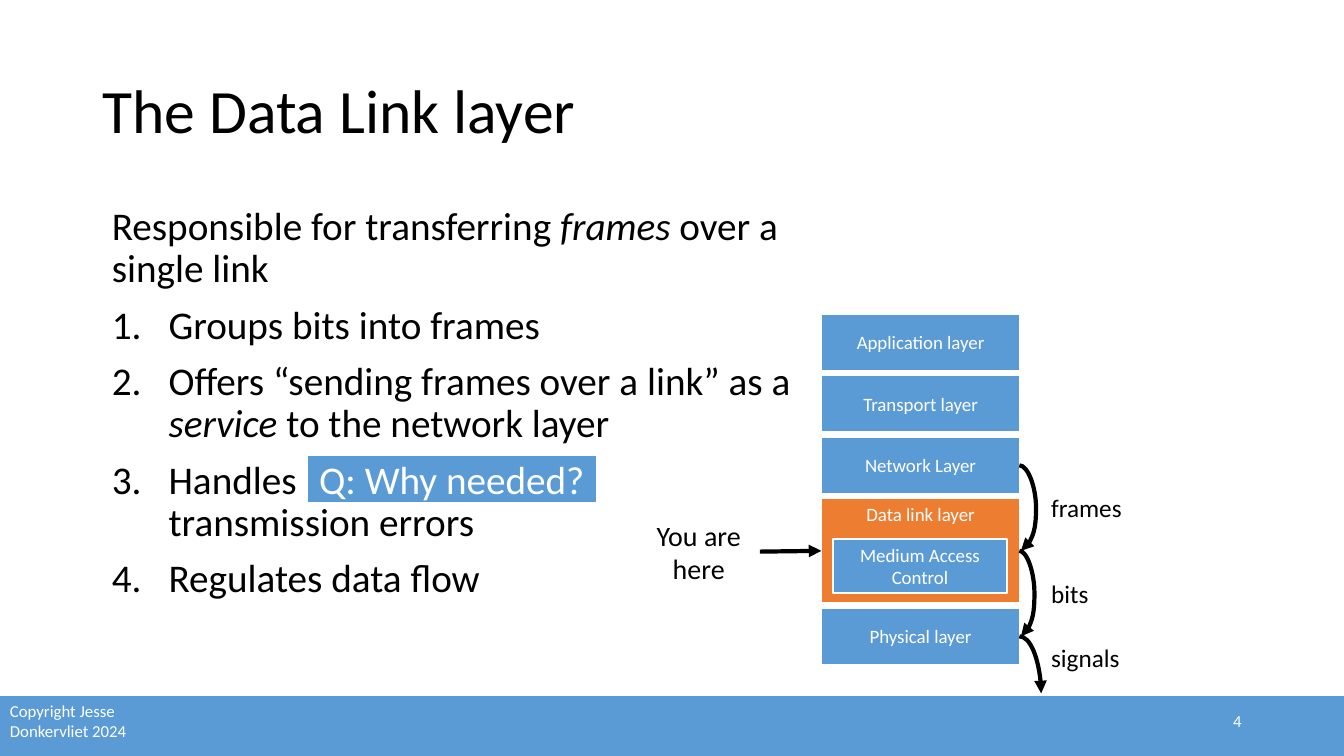
"""Build a slide on the role of the data link layer."""
from lxml import etree
from pptx import Presentation
from pptx.dml.color import RGBColor
from pptx.enum.shapes import MSO_CONNECTOR, MSO_SHAPE
from pptx.enum.text import MSO_ANCHOR, PP_ALIGN
from pptx.oxml.ns import qn
from pptx.util import Cm, Pt

RECTANGLE = MSO_SHAPE.RECTANGLE
STRAIGHT, CURVE = MSO_CONNECTOR.STRAIGHT, MSO_CONNECTOR.CURVE
TOP, MIDDLE = MSO_ANCHOR.TOP, MSO_ANCHOR.MIDDLE
LEFT, CENTER, RIGHT = PP_ALIGN.LEFT, PP_ALIGN.CENTER, PP_ALIGN.RIGHT
BLUE, ORANGE, WHITE, BLACK = "5B9BD5", "ED7D31", "FFFFFF", "000000"
FONT = "Calibri"

TITLE = "The Data Link layer"
INTRO = [("Responsible for transferring ", False), ("frames", True), (" over a single link", False)]
DUTIES = [
    [("Groups bits into frames", False)],
    [("Offers “sending frames over a link” as a ", False), ("service", True),
     (" to the network layer", False)],
    [("Handles", False), ("\n", False), ("transmission errors", False)],
    [("Regulates data flow", False)],
]
LAYERS = [
    ("Application layer", 1.45, BLUE, MIDDLE),
    ("Transport layer", 1.45, BLUE, MIDDLE),
    ("Network Layer", 1.45, BLUE, MIDDLE),
    ("Data link layer", 2.66, ORANGE, TOP),
    ("Physical layer", 1.45, BLUE, MIDDLE),
]
SUBLAYER = "Medium Access Control"
UNITS = [("frames", 12.27), ("bits", 14.45), ("signals", 16.05)]
QUESTION = "Q: Why needed?"
POINTER = "You are here"
COPYRIGHT = "Copyright Jesse Donkervliet 2024"
PAGE_NUMBER = "4"

STACK_LEFT, STACK_TOP, STACK_WIDTH, STACK_GAP = 20.7, 7.9, 5, 0.1
ARROW_LEFT, ARROW_RIGHT = 25.69, 25.73
BULGES = [0.42, 0.38]
UNIT_LEFT = 26.24


def color(value):
    """Turn a hex string into a colour."""
    return RGBColor.from_string(value)


def add_runs(para, pieces, size, ink):
    """Add styled runs and line breaks to a paragraph."""
    for text, italic in pieces:
        if text == "\n":
            para.add_line_break()
            continue
        span = para.add_run()
        span.text = text
        span.font.name = FONT
        span.font.size = Pt(size)
        span.font.italic = italic
        span.font.color.rgb = color(ink)


def fill_text(box, text, size, ink, align, anchor):
    """Write one paragraph into a box."""
    frame = box.text_frame
    frame.word_wrap = True
    frame.vertical_anchor = anchor
    para = frame.paragraphs[0]
    para.alignment = align
    add_runs(para, [(text, False)], size, ink)
    return para


def add_label(page, place, text, size, ink=BLACK, align=LEFT, anchor=MIDDLE):
    """Add a plain text box."""
    box = page.shapes.add_textbox(*map(Cm, place))
    return fill_text(box, text, size, ink, align, anchor)


def add_block(page, place, fill, text="", size=13.5, ink=WHITE, anchor=MIDDLE):
    """Add a white-edged rectangle with centred text."""
    block = page.shapes.add_shape(RECTANGLE, *map(Cm, place))
    block.shadow.inherit = False
    block.fill.solid()
    block.fill.fore_color.rgb = color(fill)
    block.line.color.rgb = color(WHITE)
    block.line.width = Pt(1.5)
    if text:
        fill_text(block, text, size, ink, CENTER, anchor)


def add_arrow(page, kind, start, end):
    """Add a black connector with a triangular head."""
    arrow = page.shapes.add_connector(kind, *map(Cm, start + end))
    arrow.line.color.rgb = color(BLACK)
    arrow.line.width = Pt(3)
    properties = arrow._element.spPr
    etree.SubElement(properties.find(qn("a:ln")), qn("a:tailEnd"), type="triangle")
    etree.SubElement(properties, qn("a:effectLst"))
    return properties.find(qn("a:prstGeom"))


def add_body(page):
    """Add the introduction and the numbered duties."""
    box = page.shapes.add_textbox(*map(Cm, (2.57, 5.08, 17.63, 12.09)))
    frame = box.text_frame
    frame.word_wrap = True
    intro = frame.paragraphs[0]
    intro.line_spacing = 0.9
    add_runs(intro, INTRO, 28, BLACK)
    for pieces in DUTIES:
        para = frame.add_paragraph()
        layout = para._p.get_or_add_pPr()
        layout.set("marL", str(Cm(1.43)))
        layout.set("indent", str(-Cm(1.43)))
        etree.SubElement(layout, qn("a:buFont"), typeface="+mj-lt")
        etree.SubElement(layout, qn("a:buAutoNum"), type="arabicPeriod")
        para.line_spacing = 0.9
        para.space_before = Pt(10)
        add_runs(para, pieces, 28, BLACK)


def add_stack(page):
    """Add the layer stack and return the middle height of each layer."""
    middles = []
    top = STACK_TOP
    for name, height, fill, anchor in LAYERS:
        add_block(page, (STACK_LEFT, top, STACK_WIDTH, height), fill, name, anchor=anchor)
        middles.append(top + height / 2)
        top += height + STACK_GAP
    add_block(page, (21, 13.59, 4.37, 1.35), BLUE, SUBLAYER)
    return middles


def add_units(page, middles):
    """Add the curved arrows between layers and their labels."""
    for bulge, start, end in zip(BULGES, middles, middles[1:]):
        shape = add_arrow(page, CURVE, (ARROW_LEFT, start), (ARROW_RIGHT, end))
        ratio = round(bulge / (ARROW_RIGHT - ARROW_LEFT) * 100000)
        guides = shape.find(qn("a:avLst"))
        etree.SubElement(guides, qn("a:gd"), name="adj1", fmla=f"val {ratio}")
    shape = add_arrow(page, CURVE, (ARROW_LEFT, middles[-1]), (UNIT_LEFT, 17.47))
    shape.set("prst", "curvedConnector2")
    for name, top in UNITS:
        add_label(page, (UNIT_LEFT, top, 2.57, 1.02), name, 18, anchor=TOP)


def main():
    """Build and save the deck."""
    deck = Presentation()
    deck.slide_width, deck.slide_height = Cm(33.87), Cm(19.05)
    page = deck.slides.add_slide(deck.slide_layouts[6])
    add_block(page, (-0.8, 17.5, 35.43, 2.06), BLUE)
    add_label(page, (0, 17.53, 3.73, 1.27), COPYRIGHT, 12, WHITE)
    add_label(page, (2.33, 1.02, 29.21, 3.68), TITLE, 44).line_spacing = 0.9
    add_body(page)
    add_label(page, (23.92, 17.65, 7.62, 1.02), PAGE_NUMBER, 12, WHITE, RIGHT)
    middles = add_stack(page)
    add_block(page, (16.05, 13.18, 3.12, 1.45), WHITE, POINTER, 20, BLACK)
    add_arrow(page, STRAIGHT, (19.15, 13.9), (STACK_LEFT, middles[3]))
    add_units(page, middles[2:])
    add_block(page, (7.73, 11.46, 7.31, 1.22), BLUE, QUESTION, 28)
    deck.save("out.pptx")


if __name__ == "__main__":
    main()
